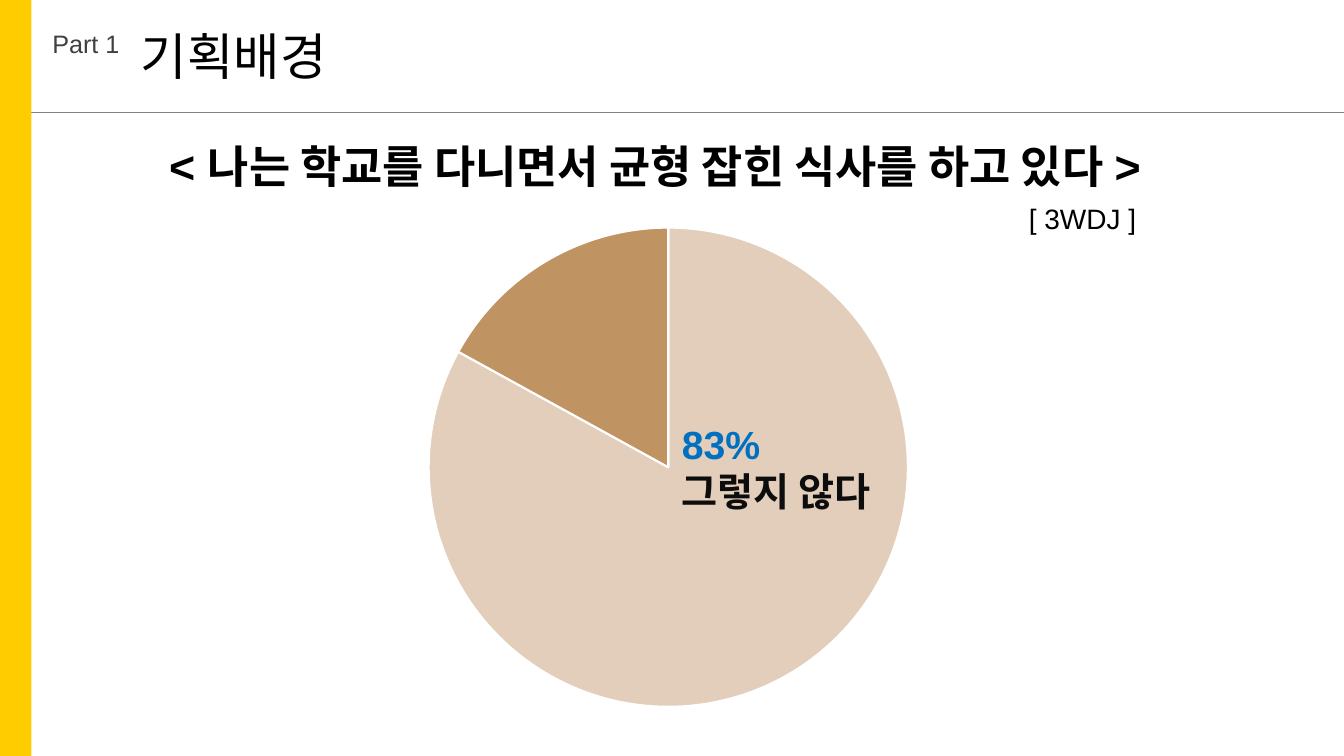
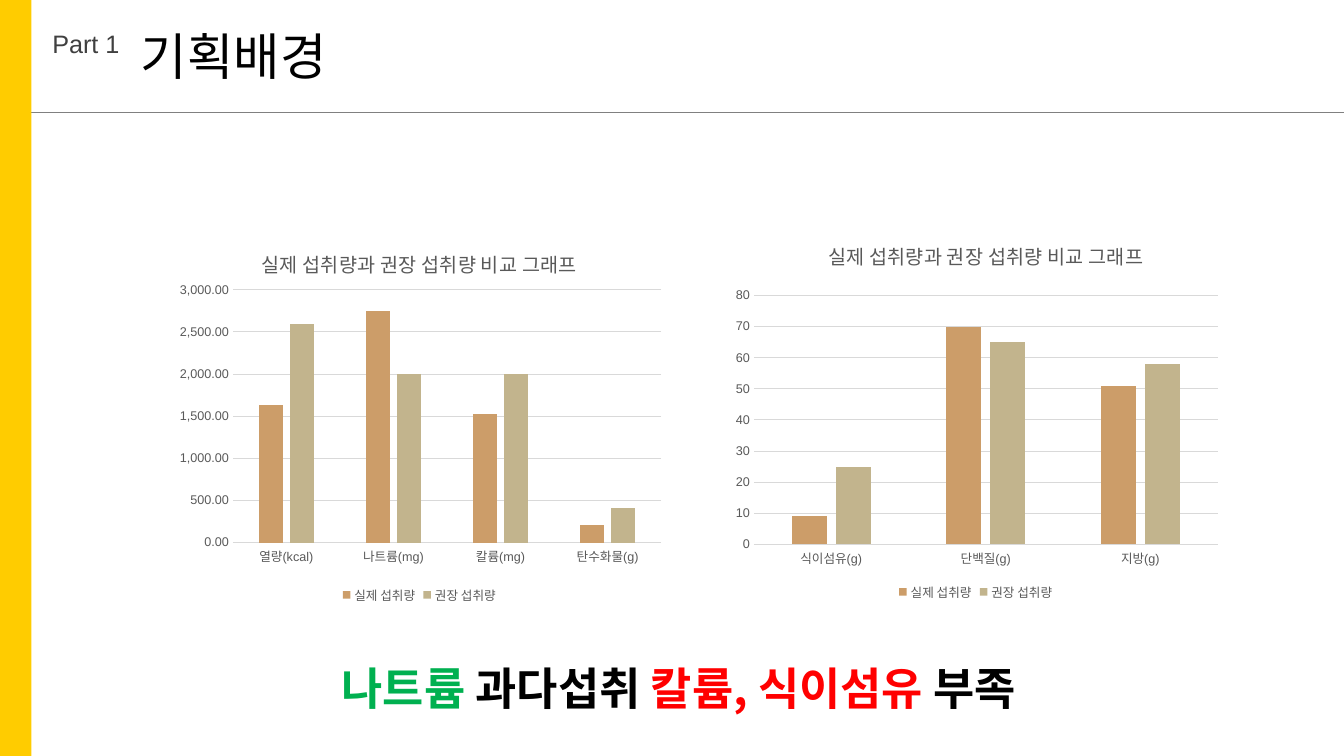
import pptx
import pptx.util
import pptx.chart.data
import pptx.dml.color
import pptx.enum.chart
import pptx.enum.shapes
import pptx.enum.text
import pptx.oxml
import pptx.oxml.ns
from lxml import etree

RGBColor = pptx.dml.color.RGBColor
BLACK = RGBColor(0x00, 0x00, 0x00)
WHITE = RGBColor(0xFF, 0xFF, 0xFF)
YELLOW = RGBColor(0xFF, 0xCC, 0x00)
RULE_GRAY = RGBColor(0x80, 0x80, 0x80)
PART_GRAY = RGBColor(0x40, 0x40, 0x40)
LABEL_GRAY = RGBColor(0x59, 0x59, 0x59)
GRID_GRAY = RGBColor(0xD9, 0xD9, 0xD9)
NEAR_BLACK = RGBColor(0x0D, 0x0D, 0x0D)
BLUE = RGBColor(0x00, 0x70, 0xC0)
GREEN = RGBColor(0x00, 0xB0, 0x50)
RED = RGBColor(0xFF, 0x00, 0x00)
TAN = RGBColor(0xCC, 0x9D, 0x69)
KHAKI = RGBColor(0xC2, 0xB4, 0x8D)
PIE_COLORS = [RGBColor(0xE3, 0xCE, 0xBC), RGBColor(0xD4, 0xAF, 0x8C),
              RGBColor(0xBF, 0x93, 0x62)]
FONT = "Arial"
KOREAN_FONT = "Noto Sans CJK KR"

deck = pptx.Presentation()
deck.slide_width = pptx.util.Emu(12192000)
deck.slide_height = pptx.util.Emu(6858000)

# Grid of 100 columns by 100 rows
COL = deck.slide_width // 100
ROW = deck.slide_height // 100
BAND_COLS = 2.33
RULE_ROW = 14.8


def place(col, row, cols, rows):
    return int(col * COL), int(row * ROW), int(cols * COL), int(rows * ROW)


def add_text(slide, area, paragraphs, size, bold=False, font=FONT, align=None):
    """Each paragraph is a list of (text, colour) runs."""
    frame = slide.shapes.add_textbox(*place(*area)).text_frame
    frame.word_wrap = True
    for index, runs in enumerate(paragraphs):
        paragraph = frame.add_paragraph() if index else frame.paragraphs[0]
        paragraph.alignment = align
        for text, color in runs:
            run = paragraph.add_run()
            run.text = text
            run.font.size = pptx.util.Pt(size)
            run.font.bold = bold
            run.font.name = font
            run.font.color.rgb = color


# Shared frame: rule, part label, title, side band
blank = deck.slide_layouts[6]
survey, intake = [deck.slides.add_slide(blank) for _ in range(2)]
for slide in (survey, intake):
    left, top, width, _ = place(BAND_COLS, RULE_ROW, 100 - BAND_COLS, 0)
    rule = slide.shapes.add_connector(
        pptx.enum.shapes.MSO_CONNECTOR.STRAIGHT, left, top, left + width, top)
    rule.line.color.rgb = RULE_GRAY
    rule.line.width = pptx.util.Pt(0.5)
    etree.SubElement(rule.element.spPr, pptx.oxml.ns.qn("a:effectLst"))
    add_text(slide, (3.15, 3.07, 8, 5.33), [[("Part 1", PART_GRAY)]], 18)
    add_text(slide, (9.75, 2.67, 20, 9.47), [[("기획배경", BLACK)]], 36)
    band = slide.shapes.add_shape(
        pptx.enum.shapes.MSO_SHAPE.RECTANGLE, *place(0, 0, BAND_COLS, 100))
    band.shadow.inherit = False
    band.fill.solid()
    band.fill.fore_color.rgb = YELLOW
    band.line.fill.background()

# Slide 1: survey pie
answers = pptx.chart.data.CategoryChartData()
answers.categories = ["1", "2", "3"]
answers.add_series("Series 1", [83, None, 17])
pie = survey.shapes.add_chart(
    pptx.enum.chart.XL_CHART_TYPE.PIE, *place(11.25, 28.27, 76.95, 67.07),
    answers).chart
pie.has_legend = False
pie.has_title = False
pie.font.name = FONT
pie.font.size = pptx.util.Pt(10)
for index, color in enumerate(PIE_COLORS):
    slice_format = pie.plots[0].series[0].points[index].format
    slice_format.fill.solid()
    slice_format.fill.fore_color.rgb = color
    slice_format.line.color.rgb = WHITE
    slice_format.line.width = pptx.util.Pt(1.5)

# Slide 1: statement, answer and survey group
add_text(survey, (11.85, 17.73, 78, 9),
         [[("< 나는 학교를 다니면서 균형 잡힌 식사를 하고 있다 >", BLACK)]],
         32, bold=True)
add_text(survey, (50, 54.93, 19.5, 13.87),
         [[("83%", BLUE)], [("그렇지 않다", NEAR_BLACK)]], 28, bold=True)
add_text(survey, (74.4, 26, 12.3, 5.87), [[("[ 3WDJ ]", BLACK)]], 20,
         align=pptx.enum.text.PP_ALIGN.CENTER)

# Slide 2: conclusion
add_text(intake, (24.68, 86.8, 54.53, 8.53),
         [[("나트륨 ", GREEN), ("과다섭취 ", BLACK),
           ("칼륨, 식이섬유 ", RED), ("부족", BLACK)]],
         32, bold=True, font=KOREAN_FONT)

# Slide 2: actual against recommended intake
# area, categories, actual, recommended, top, step, format, plot, title place
COMPARISONS = [
    ((12.45, 29.73, 37.5, 50.67),
     ["열량(kcal)", "나트륨(mg)", "칼륨(mg)", "탄수화물(g)"],
     [1630, 2750, 1530, 210], [2600, 2000, 2000, 410],
     3000, 500, "#,##0.00",
     {"x": 0.13, "y": 0.17, "w": 0.85, "h": 0.66}, {"x": 0.18, "y": 0.05}),
    ((53.85, 30.13, 37.5, 49.87),
     ["식이섬유(g)", "단백질(g)", "지방(g)"],
     [9, 70, 51], [25, 65, 58],
     80, 10, "General",
     {"x": 0.06, "y": 0.18, "w": 0.92, "h": 0.66}, {"x": 0.2, "y": 0.02}),
]
for (area, nutrients, actual, recommended, top_value, step, number_format,
     plot_place, title_place) in COMPARISONS:
    amounts = pptx.chart.data.CategoryChartData()
    amounts.categories = nutrients
    amounts.add_series("실제 섭취량", actual)
    amounts.add_series("권장 섭취량", recommended)
    chart = intake.shapes.add_chart(
        pptx.enum.chart.XL_CHART_TYPE.COLUMN_CLUSTERED, *place(*area),
        amounts).chart
    chart.font.name = FONT
    chart.font.size = pptx.util.Pt(9)
    chart.font.color.rgb = LABEL_GRAY

    # Columns
    columns = chart.plots[0]
    columns.vary_by_categories = False
    columns.gap_width = 219
    columns.overlap = -27
    for series, color in zip(columns.series, (TAN, KHAKI)):
        series.format.fill.solid()
        series.format.fill.fore_color.rgb = color

    # Axes and legend
    amount_axis, nutrient_axis = chart.value_axis, chart.category_axis
    for axis in (amount_axis, nutrient_axis):
        axis.major_tick_mark = pptx.enum.chart.XL_TICK_MARK.NONE
    amount_axis.minimum_scale = 0
    amount_axis.maximum_scale = top_value
    amount_axis.major_unit = step
    amount_axis.tick_labels.number_format = number_format
    amount_axis.tick_labels.number_format_is_linked = False
    amount_axis.format.line.fill.background()
    for line in (amount_axis.major_gridlines.format.line,
                 nutrient_axis.format.line):
        line.color.rgb = GRID_GRAY
        line.width = pptx.util.Pt(0.75)
    chart.has_legend = True
    chart.legend.position = pptx.enum.chart.XL_LEGEND_POSITION.BOTTOM
    chart.legend.include_in_layout = False

    # Heading
    chart.has_title = True
    heading = chart.chart_title.text_frame.paragraphs[0].add_run()
    heading.text = "실제 섭취량과 권장 섭취량 비교 그래프"
    heading.font.name = FONT
    heading.font.size = pptx.util.Pt(14)
    heading.font.bold = False
    heading.font.color.rgb = LABEL_GRAY

    # Fixed places of plot area and heading, as shares of the chart
    plot_area = chart.element.xpath("c:chart/c:plotArea")[0]
    for owner, position, shares in ((plot_area, 0, plot_place),
                                    (chart.chart_title.element, 1, title_place)):
        for automatic in owner.xpath("c:layout"):
            owner.remove(automatic)
        layout = pptx.oxml.parse_xml(
            "<c:layout %s><c:manualLayout/></c:layout>"
            % pptx.oxml.ns.nsdecls("c"))
        owner.insert(position, layout)
        settings = [("xMode", "edge"), ("yMode", "edge"), *shares.items()]
        if owner is plot_area:
            settings.insert(0, ("layoutTarget", "inner"))
        for tag, value in settings:
            etree.SubElement(layout[0], pptx.oxml.ns.qn("c:" + tag),
                             val=str(value))

deck.save("out.pptx")
